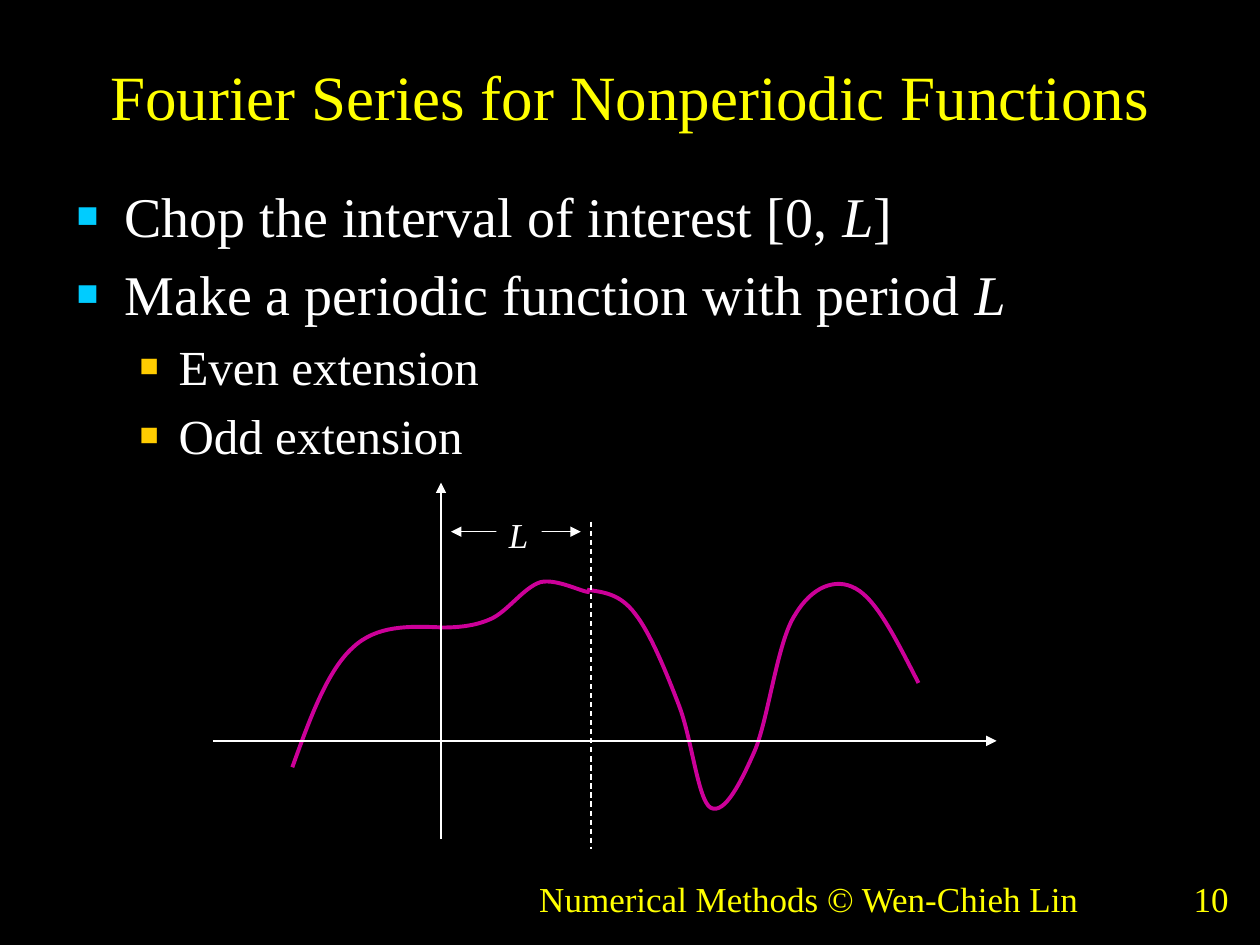
"""Build the slide on Fourier series for nonperiodic functions."""
import dataclasses
import math
import typing

import lxml.etree
import pptx
import pptx.dml.color
import pptx.enum.dml
import pptx.enum.shapes
import pptx.enum.text
import pptx.oxml.ns
import pptx.util

Inches = pptx.util.Inches
Pt = pptx.util.Pt
Align = pptx.enum.text.PP_ALIGN
Anchor = pptx.enum.text.MSO_ANCHOR
Point = tuple[float, float]

FONT = "Times New Roman"
YELLOW, WHITE, BLACK = "FFFF00", "FFFFFF", "000000"
CYAN, GOLD, MAGENTA = "00CCFF", "FFCC00", "CC0099"
ORIGIN_X, AXIS_Y, PERIOD_X, SPAN_Y = 3.5, 5.88, 4.69, 4.22


@dataclasses.dataclass(frozen=True)
class Level:
    """Format of one outline level."""

    size: int
    margin: float
    hanging: float
    bullet_color: str


@dataclasses.dataclass(frozen=True)
class Bullet:
    """One outline paragraph, with an optional italic symbol and ending."""

    level: int
    text: str
    symbol: str = ""
    ending: str = ""


@dataclasses.dataclass(frozen=True)
class Footer:
    """One text at the foot of the slide."""

    text: str
    left: float
    width: float
    align: Align


@dataclasses.dataclass(frozen=True)
class Curve:
    """Chained cubic segments, with a rotation in degrees about a centre."""

    nodes: tuple[Point, ...]
    rotation: float = 0
    center: Point = (0, 0)


@dataclasses.dataclass(frozen=True)
class Rule:
    """One straight line of the graph."""

    start: Point
    end: Point
    head: bool = False
    tail: bool = False
    dashed: bool = False


LEVELS = (Level(32, 0.38, 0.38, CYAN), Level(28, 0.81, 0.31, GOLD))
BULLETS = (
    Bullet(0, "Chop the interval of interest [0, ", "L", "]"),
    Bullet(0, "Make a periodic function with period ", "L"),
    Bullet(1, "Even extension"),
    Bullet(1, "Odd extension"),
)
FOOTERS = (
    Footer("Numerical Methods © Wen-Chieh Lin", 3.27, 6.3, Align.CENTER),
    Footer("10", 7.52, 2.33, Align.RIGHT),
)
CURVES = (
    Curve(((2.32, 6.09), (2.46, 5.7), (2.6, 5.32), (2.8, 5.14), (2.99, 4.96), (3.25, 4.97), (3.5, 4.98))),
    Curve(((3.5, 4.98), (3.63, 4.98), (3.77, 4.97), (3.9, 4.91), (4.03, 4.85),
           (4.16, 4.66), (4.29, 4.62), (4.42, 4.59), (4.62, 4.7), (4.68, 4.7))),
    Curve(((4.66, 4.68), (4.79, 4.7), (4.92, 4.71), (5.04, 4.87), (5.16, 5.02), (5.29, 5.34), (5.39, 5.6),
           (5.49, 5.86), (5.54, 6.35), (5.64, 6.41), (5.75, 6.47), (5.88, 6.21), (5.99, 5.96),
           (6.1, 5.7), (6.17, 5.09), (6.31, 4.88), (6.44, 4.66), (6.63, 4.58), (6.79, 4.67),
           (6.96, 4.76), (7.12, 5.09), (7.29, 5.42)), rotation=4, center=(5.95, 5.51)),
)
RULES = (
    Rule((1.69, AXIS_Y), (7.91, AXIS_Y), tail=True),
    Rule((ORIGIN_X, 6.66), (ORIGIN_X, 3.83), tail=True),
    Rule((PERIOD_X, 4.14), (PERIOD_X, 6.74), dashed=True),
    Rule((3.58, SPAN_Y), (4.61, SPAN_Y), head=True, tail=True),
)


def color(value: str) -> pptx.dml.color.RGBColor:
    """Turn a hex string into a colour."""
    return pptx.dml.color.RGBColor.from_string(value)


def add_xml(parent: typing.Any, tag: str, **attributes: str) -> typing.Any:
    """Append a drawing element with attributes."""
    return lxml.etree.SubElement(parent, pptx.oxml.ns.qn(tag), attributes)


def add_run(paragraph: typing.Any, text: str, size: int, hue: str, italic: bool = False) -> None:
    """Add one formatted run."""
    run = paragraph.add_run()
    run.text = text
    run.font.name = FONT
    run.font.size = Pt(size)
    run.font.italic = italic
    run.font.color.rgb = color(hue)


def add_bullet(paragraph: typing.Any, bullet: Bullet) -> None:
    """Write one bulleted paragraph."""
    level = LEVELS[bullet.level]
    paragraph.level = bullet.level
    properties = paragraph._p.get_or_add_pPr()
    properties.set("marL", str(Inches(level.margin)))
    properties.set("indent", str(-Inches(level.hanging)))
    paragraph.space_before = Pt(level.size * 0.2)
    add_xml(add_xml(properties, "a:buClr"), "a:srgbClr", val=level.bullet_color)
    add_xml(properties, "a:buSzPct", val="65000")
    add_xml(properties, "a:buFont", typeface=FONT)
    add_xml(properties, "a:buChar", char="■")
    for text, italic in ((bullet.text, False), (bullet.symbol, True), (bullet.ending, False)):
        if text:
            add_run(paragraph, text, level.size, WHITE, italic)


def add_text_frame(slide: typing.Any, left: float, top: float, width: float, height: float) -> typing.Any:
    """Add a wrapping text box and return its frame."""
    frame = slide.shapes.add_textbox(Inches(left), Inches(top), Inches(width), Inches(height)).text_frame
    frame.word_wrap = True
    return frame


def turn_back(node: Point, curve: Curve) -> Point:
    """Return a node as it lies before the curve is rotated."""
    angle = math.radians(curve.rotation)
    dx, dy = node[0] - curve.center[0], node[1] - curve.center[1]
    x = curve.center[0] + dx * math.cos(angle) + dy * math.sin(angle)
    y = curve.center[1] + dy * math.cos(angle) - dx * math.sin(angle)
    return Inches(x), Inches(y)


def add_curve(slide: typing.Any, curve: Curve) -> None:
    """Draw an open curve whose nodes become cubic segments."""
    start, *others = (turn_back(node, curve) for node in curve.nodes)
    builder = slide.shapes.build_freeform(*start)
    builder.add_line_segments(others, close=False)
    outline = builder.convert_to_shape()
    steps = list(outline.element.iter(pptx.oxml.ns.qn("a:lnTo")))
    track = steps[0].getparent()
    for first in range(0, len(steps), 3):
        segment = add_xml(track, "a:cubicBezTo")
        for step in steps[first:first + 3]:
            segment.append(step[0])
            track.remove(step)
    outline.rotation = curve.rotation
    outline.shadow.inherit = False
    outline.fill.background()
    outline.line.color.rgb = color(MAGENTA)
    outline.line.width = Pt(2.25)


def add_rule(slide: typing.Any, rule: Rule) -> None:
    """Draw one straight line with its dash and arrowheads."""
    ends = (Inches(value) for value in (*rule.start, *rule.end))
    line = slide.shapes.add_connector(pptx.enum.shapes.MSO_CONNECTOR.STRAIGHT, *ends)
    line.line.color.rgb = color(WHITE)
    line.line.width = Pt(0.75)
    if rule.dashed:
        line.line.dash_style = pptx.enum.dml.MSO_LINE.DASH
    properties = line.element.spPr
    stroke = properties.find(pptx.oxml.ns.qn("a:ln"))
    for shown, tag in ((rule.head, "a:headEnd"), (rule.tail, "a:tailEnd")):
        if shown:
            add_xml(stroke, tag, type="triangle")
    add_xml(properties, "a:effectLst")


def add_period_label(slide: typing.Any) -> None:
    """Place the period symbol over its span arrow."""
    label = slide.shapes.add_shape(
        pptx.enum.shapes.MSO_SHAPE.RECTANGLE, Inches(3.94), Inches(4.03), Inches(0.36), Inches(0.43))
    label.shadow.inherit = False
    label.fill.solid()
    label.fill.fore_color.rgb = color(BLACK)
    label.line.fill.background()
    frame = label.text_frame
    frame.word_wrap = False
    frame.vertical_anchor = Anchor.TOP
    frame.paragraphs[0].alignment = Align.LEFT
    add_run(frame.paragraphs[0], "L", 20, WHITE, italic=True)


def main() -> None:
    """Build and save the slide."""
    deck = pptx.Presentation()
    deck.slide_width, deck.slide_height = Inches(10), Inches(7.5)
    slide = deck.slides.add_slide(deck.slide_layouts[5])
    slide.background.fill.solid()
    slide.background.fill.fore_color.rgb = color(BLACK)
    for footer in FOOTERS:
        frame = add_text_frame(slide, footer.left, 6.83, footer.width, 0.52)
        frame.vertical_anchor = Anchor.BOTTOM
        frame.paragraphs[0].alignment = footer.align
        add_run(frame.paragraphs[0], footer.text, 20, YELLOW)
    title = slide.shapes.title
    title.left, title.top, title.width, title.height = map(Inches, (0.5, 0.13, 9, 1.26))
    title.text_frame.vertical_anchor = Anchor.MIDDLE
    heading = title.text_frame.paragraphs[0]
    heading.alignment = Align.CENTER
    add_run(heading, "Fourier Series for Nonperiodic Functions", 36, YELLOW)
    body = add_text_frame(slide, 0.51, 1.39, 9, 5.51)
    for index, bullet in enumerate(BULLETS):
        add_bullet(body.add_paragraph() if index else body.paragraphs[0], bullet)
    for curve in CURVES:
        add_curve(slide, curve)
    for rule in RULES:
        add_rule(slide, rule)
    add_period_label(slide)
    deck.save("out.pptx")


main()
